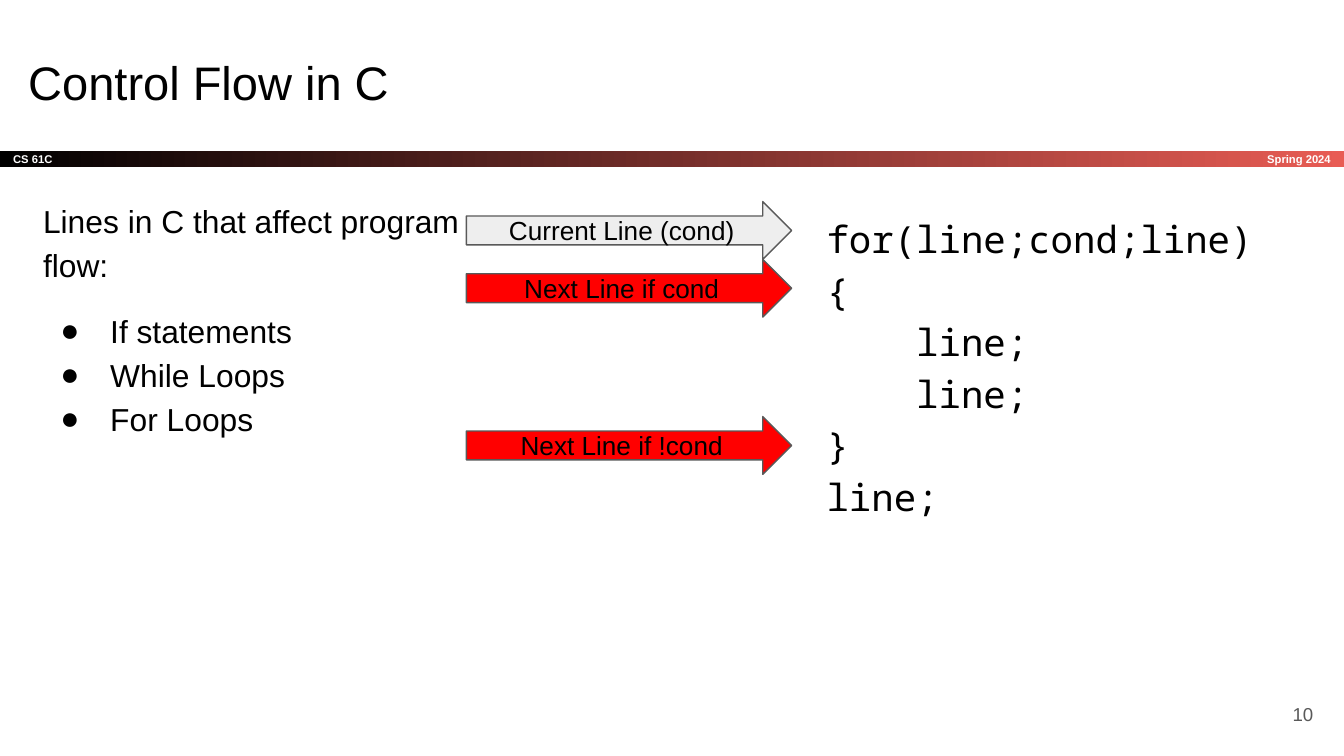
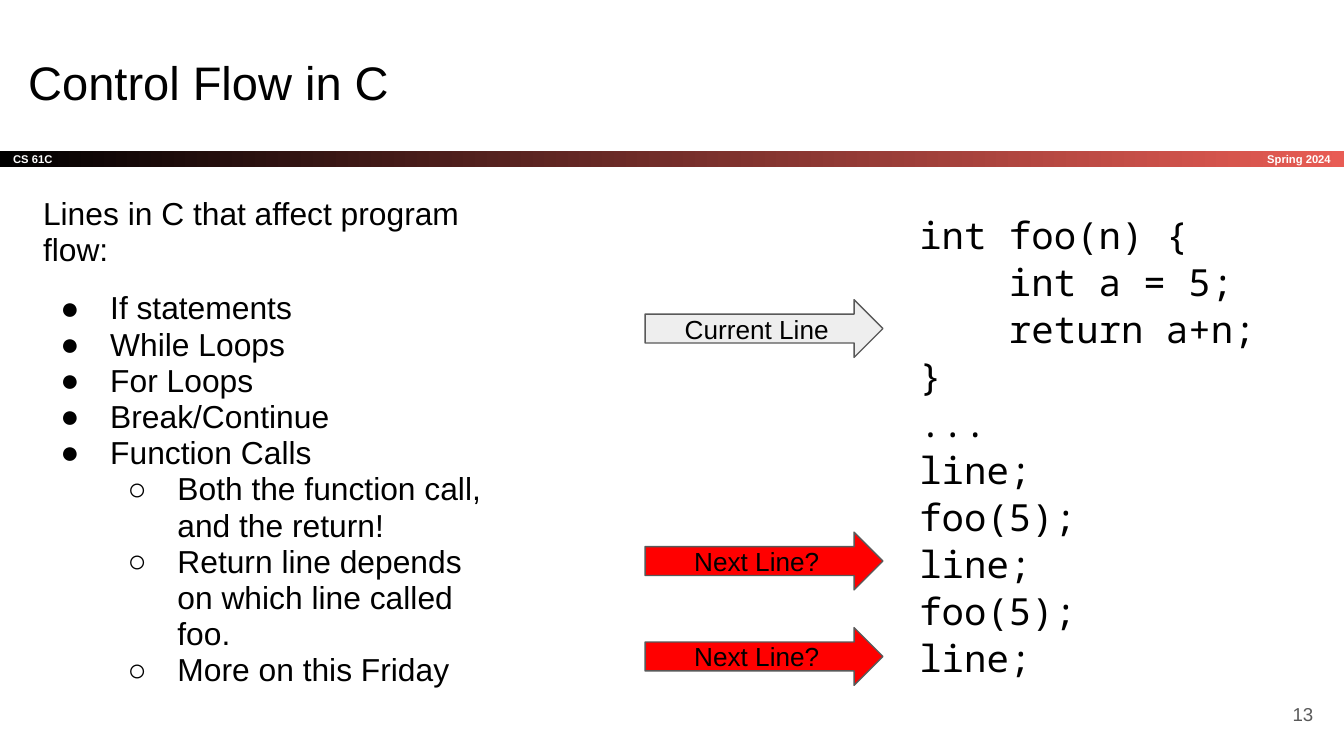
from lxml import etree
from pptx import Presentation
from pptx.dml.color import RGBColor
from pptx.enum import shapes, text
from pptx.oxml.ns import qn
from pptx.util import Inches, Pt

COLORS = {
    "black": "000000",
    "white": "FFFFFF",
    "coral": "E85C54",
    "grey": "595959",
    "current": "EEEEEE",
    "next": "FF0000",
}
LEFT, CENTER, RIGHT = text.PP_ALIGN.LEFT, text.PP_ALIGN.CENTER, text.PP_ALIGN.RIGHT
TOP, MIDDLE = text.MSO_ANCHOR.TOP, text.MSO_ANCHOR.MIDDLE
STYLES = {
    "title": {"size": Pt(25.2), "name": "Arial", "color": "black"},
    "band": {"size": Pt(6), "name": "Arial", "bold": True, "color": "white"},
    "list": {"size": Pt(17), "name": "Arial", "color": "black"},
    "code": {"size": Pt(20), "name": "Noto Sans Mono", "color": "black"},
    "arrow": {"size": Pt(14), "name": "Arial", "color": "black"},
    "number": {"size": Pt(10), "name": "Arial", "color": "grey"},
}
BULLETS = "●○"
INTRO = "Lines in C that affect program flow:"
ARROW_H = 0.43

FOR_CODE = """for(line;cond;line) {
    line;
    line;
}
line;"""

FOO_CODE = """int foo(n) {
    int a = 5;
    return a+n;
}
...
line;
foo(5);
line;
foo(5);
line;"""

SLIDES = [
    {
        "number": 10,
        "items": [(0, "If statements"), (0, "While Loops"), (0, "For Loops")],
        "list_spacing": 1.15,
        "code": FOR_CODE,
        "code_left": 6.05,
        "code_spacing": 1.15,
        "arrow_left": 3.47,
        "arrow_width": 2.42,
        "arrows": [
            (1.5, "Current Line (cond)", "current"),
            (3.1, "Next Line if !cond", "next"),
            (1.93, "Next Line if cond", "next"),
        ],
    },
    {
        "number": 13,
        "items": [
            (0, "If statements"),
            (0, "While Loops"),
            (0, "For Loops"),
            (0, "Break/Continue"),
            (0, "Function Calls"),
            (1, "Both the function call, and the return!"),
            (1, "Return line depends on which line called foo."),
            (1, "More on this Friday"),
        ],
        "list_spacing": 0.95,
        "code": FOO_CODE,
        "code_left": 6.74,
        "code_spacing": 1.05,
        "arrow_left": 4.8,
        "arrow_width": 1.77,
        "arrows": [
            (2.23, "Current Line", "current"),
            (3.96, "Next Line?", "next"),
            (4.67, "Next Line?", "next"),
        ],
    },
]


def rgb(name):
    return RGBColor.from_string(COLORS[name])


def inches(box):
    return [Inches(v) for v in box]


def set_attrs(obj, values):
    for key, value in values.items():
        setattr(obj, key, value)


def place(sp, box):
    set_attrs(sp, dict(zip(("left", "top", "width", "height"), inches(box))))


def setup_frame(sp, anchor):
    tf = sp.text_frame
    set_attrs(tf, {"word_wrap": True, "auto_size": text.MSO_AUTO_SIZE.NONE,
                   "vertical_anchor": anchor})
    set_attrs(tf, {f"margin_{side}": Inches(0.1)
                   for side in ("left", "top", "right", "bottom")})
    return tf


def set_bullet(p, level):
    pPr = p._p.get_or_add_pPr()
    if level is None:
        pPr.set("marL", "0")
        pPr.set("indent", "0")
        etree.SubElement(pPr, qn("a:buNone"))
        return
    p.level = level
    pPr.set("marL", str(Inches(0.5 * (level + 1))))
    pPr.set("indent", str(Inches(-0.37)))
    color = etree.SubElement(pPr, qn("a:buClr"))
    etree.SubElement(color, qn("a:srgbClr"), val=COLORS["black"])
    etree.SubElement(pPr, qn("a:buFont"), typeface="Arial")
    etree.SubElement(pPr, qn("a:buChar"), char=BULLETS[level])


def write(p, content, style, align=LEFT, spacing=1.0, before=0, level=None):
    set_bullet(p, level)
    set_attrs(p, {"alignment": align, "line_spacing": spacing,
                  "space_before": Pt(before), "space_after": Pt(0)})
    r = p.add_run()
    r.text = content
    values = dict(STYLES[style])
    r.font.color.rgb = rgb(values.pop("color"))
    set_attrs(r.font, values)


def write_one(sp, content, style, align=LEFT, anchor=MIDDLE):
    write(setup_frame(sp, anchor).paragraphs[0], content, style, align)


def paragraphs(tf, count):
    return [tf.paragraphs[0]] + [tf.add_paragraph() for _ in range(count - 1)]


def add_band(s, box):
    left, top, width, height = box
    sp = s.shapes.add_shape(shapes.MSO_SHAPE.RECTANGLE, *inches(box))
    sp.shadow.inherit = False
    sp.line.fill.background()
    sp.fill.gradient()
    sp.fill.gradient_angle = 0
    for stop, name, position in zip(sp.fill.gradient_stops, ("black", "coral"), (0, 1)):
        stop.color.rgb = rgb(name)
        stop.position = position
    write_one(sp, "CS 61C", "band")
    term_w = 1.66
    term = s.shapes.add_textbox(*inches((left + width - term_w, top, term_w, height)))
    write_one(term, "Spring 2024", "band", RIGHT)


def add_title(s, box, content):
    place(s.shapes.title, box)
    write_one(s.shapes.title, content, "title", anchor=TOP)


def add_list(s, box, items, spacing):
    sp = s.placeholders[1]
    place(sp, box)
    first, *rest = paragraphs(setup_frame(sp, TOP), len(items) + 1)
    write(first, INTRO, "list", spacing=spacing)
    for i, (p, (level, item)) in enumerate(zip(rest, items)):
        write(p, item, "list", spacing=spacing, before=0 if i else 12, level=level)


def add_code(s, box, code, spacing):
    sp = s.placeholders[2]
    place(sp, box)
    lines = code.split("\n")
    for p, line in zip(paragraphs(setup_frame(sp, TOP), len(lines)), lines):
        write(p, line, "code", spacing=spacing)


def add_arrow(s, box, label, fill):
    sp = s.shapes.add_shape(shapes.MSO_SHAPE.RIGHT_ARROW, *inches(box))
    sp.shadow.inherit = False
    sp.fill.solid()
    sp.fill.fore_color.rgb = rgb(fill)
    sp.line.color.rgb = rgb("grey")
    sp.line.width = Pt(0.75)
    write_one(sp, label, "arrow", CENTER)


def add_number(s, box, number):
    write_one(s.shapes.add_textbox(*inches(box)), str(number), "number", RIGHT)


def build_slide(prs, data):
    s = prs.slides.add_slide(prs.slide_layouts[3])
    add_band(s, (0, 1.12, 10, 0.12))
    add_title(s, (0.11, 0.3, 9.32, 0.63), "Control Flow in C")
    add_list(s, (0.22, 1.36, 3.48, 3.96), data["items"], data["list_spacing"])
    left = data["code_left"]
    add_code(s, (left, 1.46, 9.66 - left, 3.72), data["code"], data["code_spacing"])
    for top, label, fill in data["arrows"]:
        add_arrow(s, (data["arrow_left"], top, data["arrow_width"], ARROW_H), label, fill)
    add_number(s, (9.27, 5.1, 0.6, 0.43), data["number"])


def main():
    prs = Presentation()
    prs.slide_width = Inches(10)
    prs.slide_height = prs.slide_width * 9 // 16
    for data in SLIDES:
        build_slide(prs, data)
    prs.save("out.pptx")


if __name__ == "__main__":
    main()
